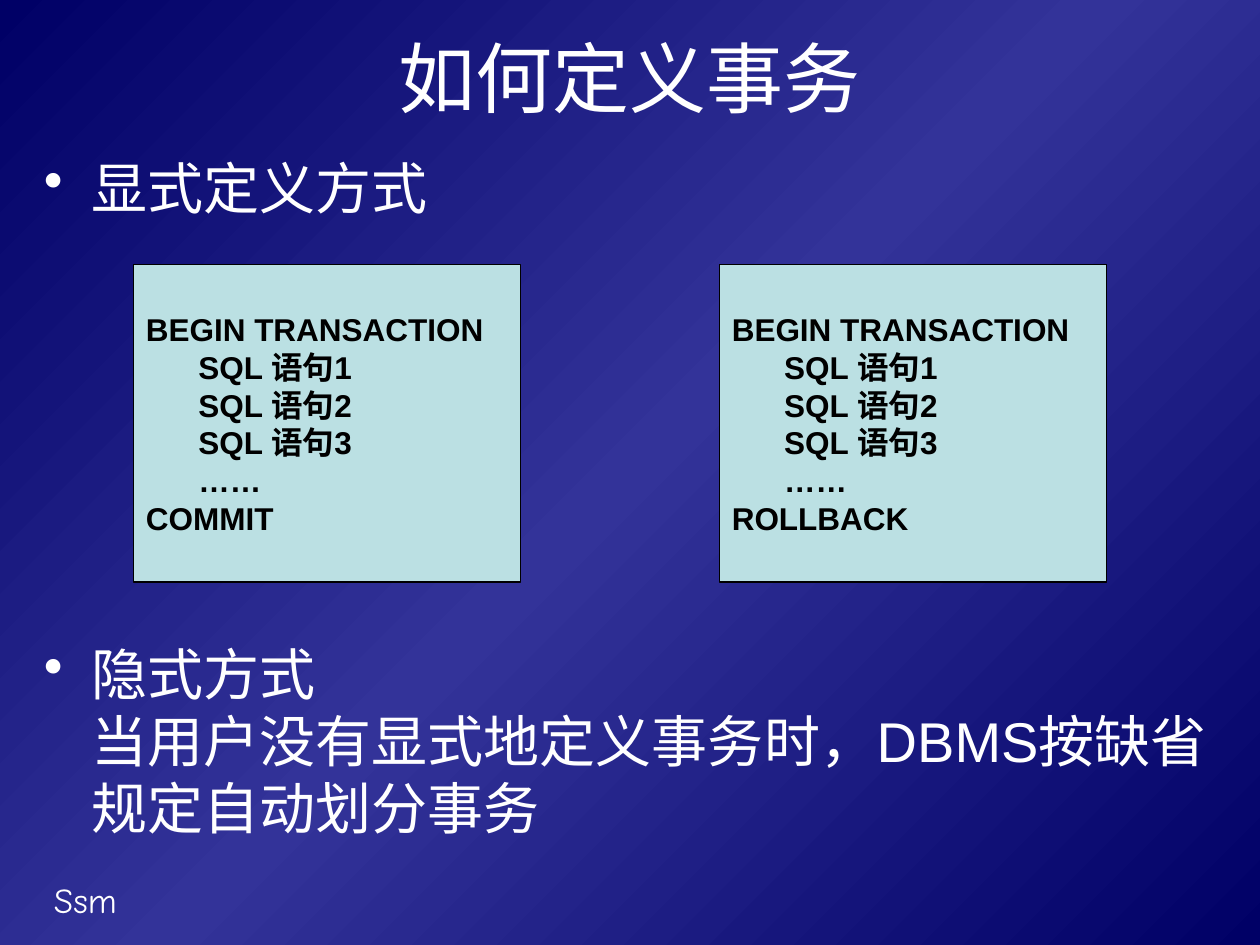
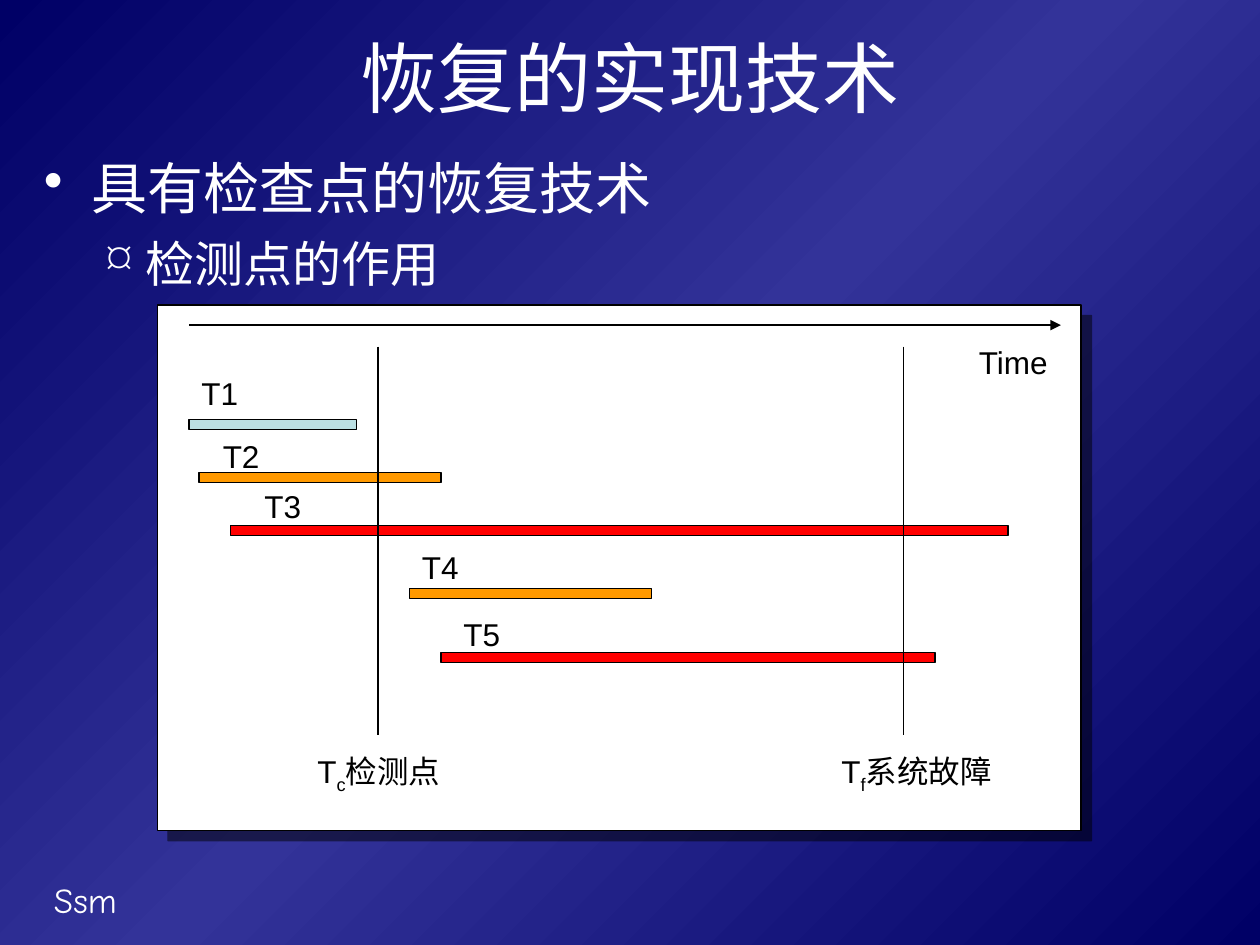
"""Builds two slides on database transactions and checkpoint recovery."""
from copy import deepcopy

from lxml.etree import SubElement
from pptx import Presentation
from pptx.dml.color import RGBColor
from pptx.enum.shapes import MSO_CONNECTOR, MSO_SHAPE
from pptx.enum.text import MSO_ANCHOR, PP_ALIGN
from pptx.oxml.ns import qn
from pptx.util import Inches, Pt

HUES = {"deep": "000066", "mid": "333399", "white": "FFFFFF", "black": "000000",
        "pale": "BBE0E3", "gold": "FF9900", "red": "FF0000"}
RGB = {name: RGBColor.from_string(code) for name, code in HUES.items()}


def write(slide, spot, lines, size, hue="white", face="Arial"):
    box = slide.shapes.add_textbox(*map(Inches, spot))
    frame = box.text_frame
    frame.word_wrap = True
    for i, line in enumerate(lines):
        para = frame.paragraphs[0] if i == 0 else frame.add_paragraph()
        text, mark, left, hang, gap, pts = line if isinstance(line, tuple) else (line, "", 0, 0, 0, size)
        para.text = text
        if gap:
            para.space_before = Pt(gap)
        if mark:
            props = para._p.get_or_add_pPr()
            props.set("marL", str(Inches(left)))
            props.set("indent", str(-Inches(hang)))
            tint = SubElement(props, qn("a:buClr"))
            SubElement(tint, qn("a:srgbClr"), val=HUES[hue])
            SubElement(props, qn("a:buChar"), char=mark)
        para.font.size = Pt(pts)
        para.font.name = face
        para.font.color.rgb = RGB[hue]
    return frame


def block(slide, spot, hue):
    rect = slide.shapes.add_shape(MSO_SHAPE.RECTANGLE, *map(Inches, spot))
    rect.fill.solid()
    rect.fill.fore_color.rgb = RGB[hue]
    rect.line.color.rgb = RGB["black"]
    rect.line.width = Pt(0.75)
    rect.shadow.inherit = False
    return rect


deck = Presentation()
deck.slide_width, deck.slide_height = Inches(10), Inches(7.5)

master = deck.slide_master
back = master.background.fill
back.gradient()
back.gradient_angle = 135
for stop, hue, place in zip(back.gradient_stops, ("deep", "mid"), (0, 0.5)):
    stop.color.rgb = RGB[hue]
    stop.position = place
stops = master.element.find(".//" + qn("a:gsLst"))
stops.append(deepcopy(stops[0]))
stops[2].set("pos", "100000")

pages = []
for title in ("如何定义事务", "恢复的实现技术"):
    page = deck.slides.add_slide(deck.slide_layouts[6])
    write(page, (0.33, 6.92, 2.08, 0.44), ["Ssm"], 20, face="Comic Neue")
    head = write(page, (0.5, 0.17, 9, 0.87), [title], 44)
    head.vertical_anchor = MSO_ANCHOR.MIDDLE
    head.paragraphs[0].alignment = PP_ALIGN.CENTER
    pages.append(page)
define, recover = pages
body = (0.25, 1.17, 9.58, 5.75)

write(define, body, [
    ("显式定义方式", "•", 0.38, 0.38, 0, 32),
    ("隐式方式\v当用户没有显式地定义事务时，DBMS按缺省规定自动划分事务", "•", 0.38, 0.38, 239, 32),
], 32)
steps = ["SQL 语句1", "SQL 语句2", "SQL 语句3", "……"]
for left, end in ((1.06, "COMMIT"), (5.71, "ROLLBACK")):
    frame = block(define, (left, 2.1, 3.07, 2.52), "pale").text_frame
    frame.word_wrap = True
    frame.vertical_anchor = MSO_ANCHOR.MIDDLE
    frame.text = "\n".join(["BEGIN TRANSACTION"] + ["      " + step for step in steps] + [end])
    for para in frame.paragraphs:
        para.alignment = PP_ALIGN.LEFT
        para.font.size = Pt(18)
        para.font.name = "Arial"
        para.font.bold = True
        para.font.color.rgb = RGB["black"]

panel = block(recover, (1.25, 2.42, 7.33, 4.17), "white")
effect = panel._element.spPr.find(qn("a:effectLst"))
shade = SubElement(effect, qn("a:outerShdw"), blurRad="0", dist=str(Pt(8.5)),
                   dir="2700000", algn="ctr", rotWithShape="0")
tint = SubElement(shade, qn("a:srgbClr"), val=HUES["black"])
SubElement(tint, qn("a:alpha"), val="50000")

write(recover, body, [
    ("具有检查点的恢复技术", "•", 0.38, 0.38, 0, 32),
    ("检测点的作用", "¤", 0.81, 0.31, 7, 28),
], 32)

bars = [
    (1.5, 3.33, 1.33, "pale", 1.5, 2.92),
    (1.58, 3.75, 1.92, "gold", 1.67, 3.42),
    (1.83, 4.17, 6.17, "red", 2, 3.82),
    (3.25, 4.67, 1.92, "gold", 3.25, 4.3),
    (3.5, 5.18, 3.92, "red", 3.58, 4.83),
]
for left, top, width, hue, _, _ in bars:
    block(recover, (left, top, width, 0.08), hue)

for ends in ((3, 2.75, 3, 5.83), (7.17, 2.75, 7.17, 5.83), (1.5, 2.58, 8.42, 2.58)):
    rule = recover.shapes.add_connector(MSO_CONNECTOR.STRAIGHT, *map(Inches, ends))
    rule.line.color.rgb = RGB["black"]
    rule.line.width = Pt(0.75)
    SubElement(rule._element.spPr, qn("a:effectLst"))
SubElement(rule.line._get_or_add_ln(), qn("a:tailEnd"), type="triangle")

write(recover, (7.67, 2.67, 0.83, 0.4), ["Time"], 18, "black")
for left, high, sub, label in ((2.42, 0.44, "c", "检测点"), (6.58, 0.74, "f", "系统故障")):
    para = write(recover, (left, 5.92, 1.42, high), ["T"], 18, "black").paragraphs[0]
    low = para.add_run()
    low.text = sub
    low._r.get_or_add_rPr().set("baseline", "-25000")
    para.add_run().text = label
for i, (*_, left, top) in enumerate(bars, 1):
    write(recover, (left, top, 0.67, 0.4), [f"T{i}"], 18, "black")

deck.save("out.pptx")
